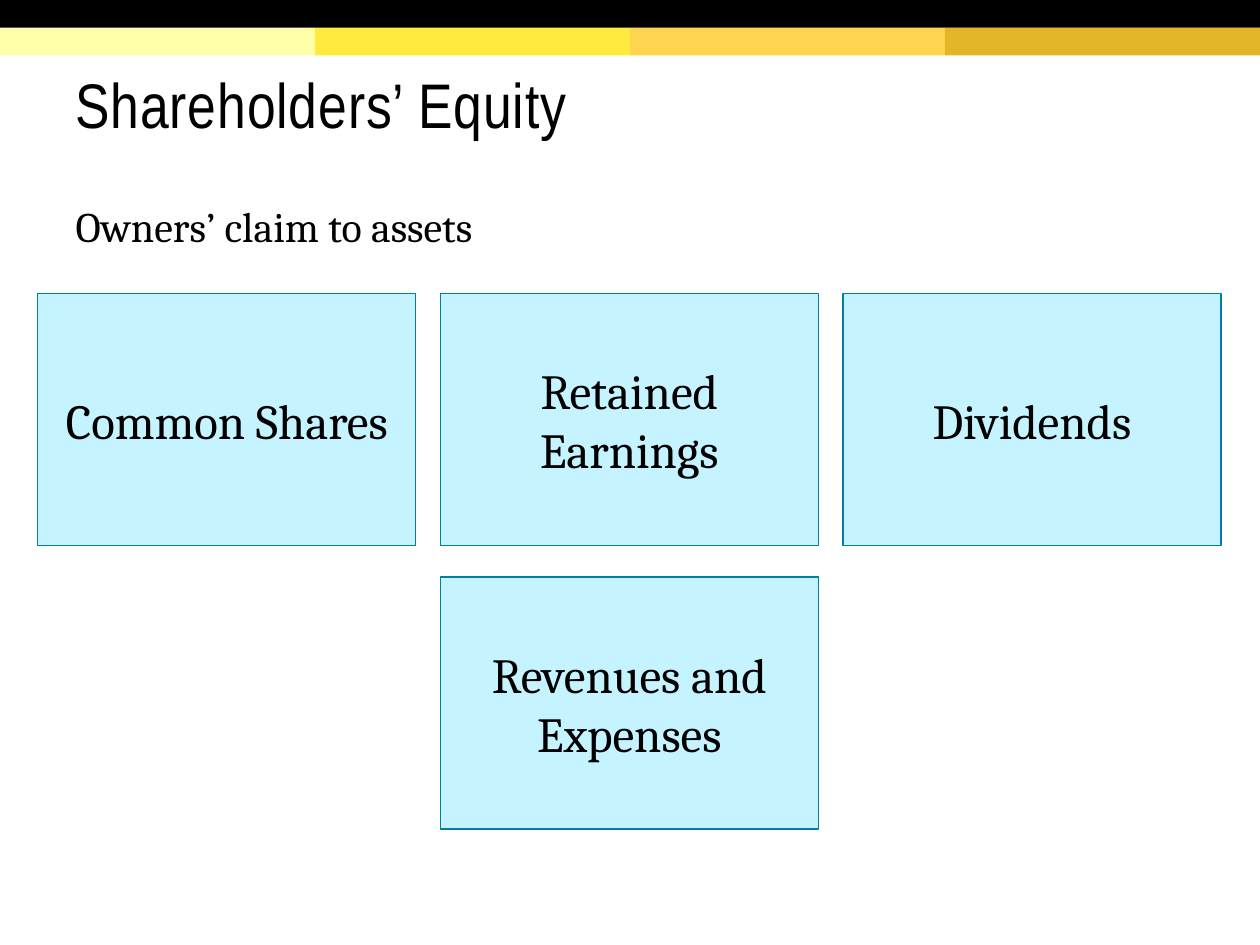
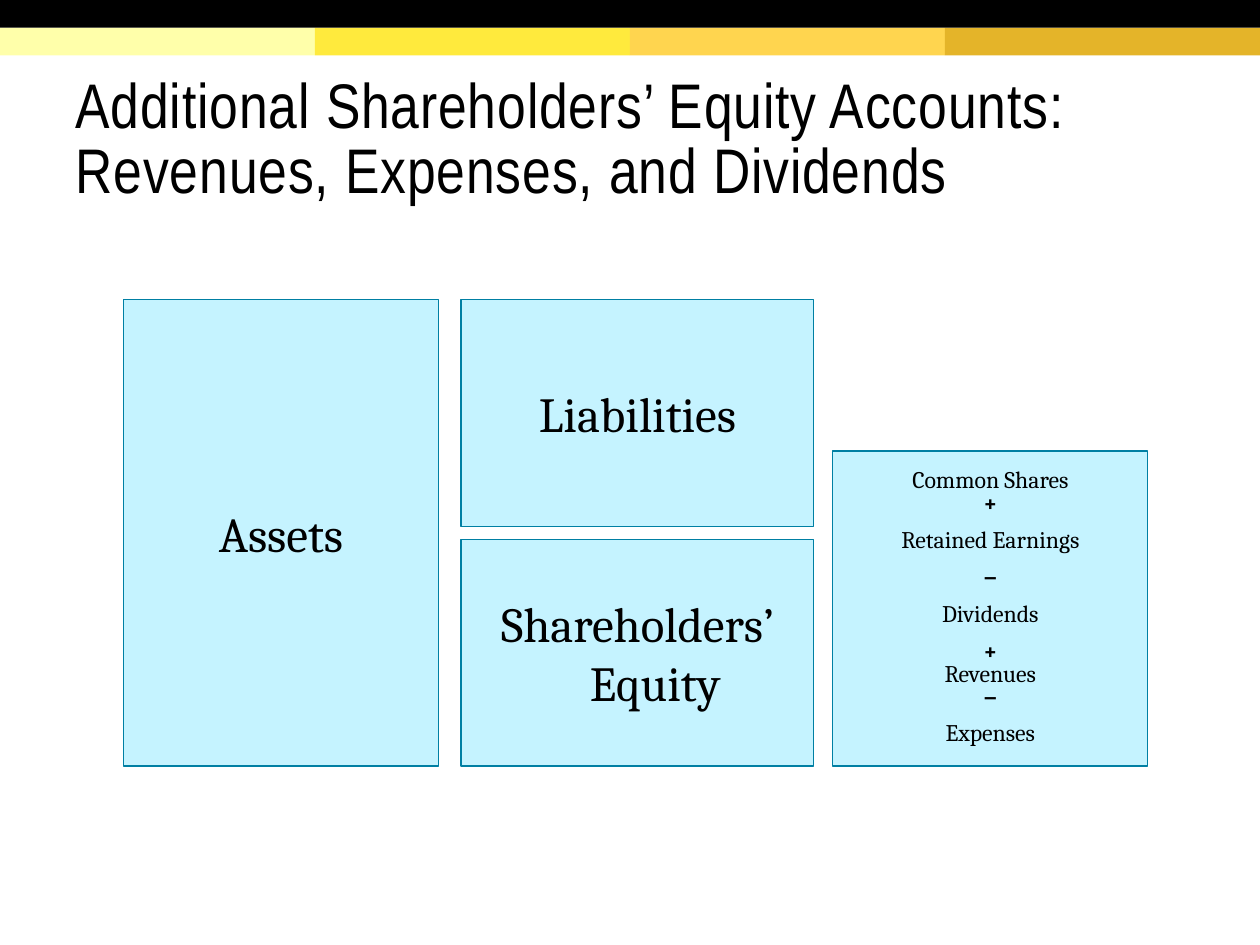
from collections import namedtuple

from lxml import etree
from pptx import Presentation
from pptx.dml.color import RGBColor
from pptx.enum.shapes import MSO_SHAPE
from pptx.enum.text import MSO_ANCHOR, MSO_AUTO_SIZE, PP_ALIGN
from pptx.oxml.ns import qn
from pptx.util import Inches, Pt

RECTANGLE = MSO_SHAPE.RECTANGLE
TOP, MIDDLE = MSO_ANCHOR.TOP, MSO_ANCHOR.MIDDLE
LEFT, CENTER = PP_ALIGN.LEFT, PP_ALIGN.CENTER
NO_AUTOFIT = MSO_AUTO_SIZE.NONE

BLACK = RGBColor(0x00, 0x00, 0x00)
PANEL_FILL = RGBColor(0xC5, 0xF3, 0xFF)
PANEL_LINE = RGBColor(0x00, 0x7F, 0xA3)
BAND_COLORS = (
    RGBColor(0xFF, 0xFF, 0xAA),
    RGBColor(0xFF, 0xEA, 0x3D),
    RGBColor(0xFF, 0xD5, 0x4F),
    RGBColor(0xE4, 0xB4, 0x29),
)
TITLE_FONT, BODY_FONT = "Arial Narrow", "Cambria"
TITLE_SIZE, LEAD_SIZE, PANEL_SIZE, ACCOUNT_SIZE = 36, 24, 28, 13.6
BAND_HEIGHT = 0.22
TITLE_ONLY, TITLE_AND_CONTENT = 5, 1

# All lengths are in inches.
Box = namedtuple("Box", "left top width height")
SLIDE = Box(0, 0, 10, 7.5)

# Each paragraph is a list of lines; signs are set in bold.
SIGNS = ("+", "−")
EQUITY_ACCOUNTS = (
    ("Common Shares", "+"),
    ("Retained Earnings",),
    ("−",),
    ("Dividends",),
    ("+", "Revenues", "−"),
    ("Expenses",),
)


def in_inches(box):
    return [Inches(length) for length in box]


def add_text(paragraph, text, size, font_name=BODY_FONT, bold=False):
    run = paragraph.add_run()
    run.text = text
    run.font.name = font_name
    run.font.size = Pt(size)
    run.font.bold = bold
    run.font.color.rgb = BLACK
    return run


def set_indent(paragraph, hanging):
    properties = paragraph._p.get_or_add_pPr()
    properties.set("marL", str(Inches(hanging)))
    properties.set("indent", str(-Inches(hanging)))
    return properties


def set_frame(shape, anchor, insets):
    """Insets are left, top, right and bottom."""
    frame = shape.text_frame
    frame.word_wrap = True
    frame.auto_size = NO_AUTOFIT
    frame.vertical_anchor = anchor
    (frame.margin_left, frame.margin_top,
     frame.margin_right, frame.margin_bottom) = in_inches(insets)
    return frame


def place(shape, box):
    shape.left, shape.top, shape.width, shape.height = in_inches(box)


def add_rectangle(slide, box, fill_color):
    shape = slide.shapes.add_shape(RECTANGLE, *in_inches(box))
    shape.shadow.inherit = False
    shape.fill.solid()
    shape.fill.fore_color.rgb = fill_color
    shape.line.fill.background()
    return shape


def add_bands(slide, box):
    """A black bar above a row of equal coloured bars."""
    row = box.height / 2
    column = box.width / len(BAND_COLORS)
    for index, color in enumerate(BAND_COLORS):
        left = box.left + index * column
        add_rectangle(slide, Box(left, box.top + row, column, row), color)
    add_rectangle(slide, box._replace(height=row), BLACK)


def fill_title(slide, text, box):
    title = slide.shapes.title
    place(title, box)
    paragraph = set_frame(title, MIDDLE, (0.1, 0.1, 0.1, 0.05)).paragraphs[0]
    paragraph.alignment = LEFT
    paragraph.line_spacing = 0.85
    run = add_text(paragraph, text, TITLE_SIZE, TITLE_FONT)
    run.font._element.set("spc", "50")


def fill_lead(slide, text, box):
    body = slide.placeholders[1]
    place(body, box)
    paragraph = set_frame(body, TOP, (0.1, 0.05, 0.1, 0.05)).paragraphs[0]
    etree.SubElement(set_indent(paragraph, 0), qn("a:buNone"))
    paragraph.line_spacing = 0.9
    paragraph.space_before = Pt(0)
    add_text(paragraph, text, LEAD_SIZE)


def add_panel(slide, box):
    """Returns the text frame of an empty light blue panel."""
    panel = add_rectangle(slide, box, PANEL_FILL)
    panel.line.color.rgb = PANEL_LINE
    panel.line.width = Pt(0.75)
    return set_frame(panel, MIDDLE, (0.1, 0.1, 0.1, 0.1))


def add_label_panel(slide, text, box, hanging=0):
    paragraph = add_panel(slide, box).paragraphs[0]
    paragraph.alignment = CENTER
    set_indent(paragraph, hanging)
    add_text(paragraph, text, PANEL_SIZE)


def add_break(paragraph, size):
    paragraph.add_line_break()
    etree.SubElement(paragraph._p[-1], qn("a:rPr"), sz=str(round(size * 100)))


def add_accounts_panel(slide, box):
    frame = add_panel(slide, box)
    for index, lines in enumerate(EQUITY_ACCOUNTS):
        paragraph = frame.add_paragraph() if index else frame.paragraphs[0]
        paragraph.alignment = CENTER
        paragraph.line_spacing = 0.8
        paragraph.space_after = Pt(8)
        for line_index, line in enumerate(lines):
            if line_index:
                add_break(paragraph, ACCOUNT_SIZE)
            add_text(paragraph, line, ACCOUNT_SIZE, bold=line in SIGNS)


def add_component_grid(slide, box):
    """Three columns and two rows; the lower row holds only its middle panel."""
    width, height = 3, 2
    column_step = (box.width - width) / 2
    row_step = box.height - height
    components = (
        ("Common Shares", 0, 0),
        ("Retained Earnings", 1, 0),
        ("Dividends", 2, 0),
        ("Revenues and Expenses", 1, 1),
    )
    for text, column, row in components:
        left = box.left + column * column_step
        top = box.top + row * row_step
        add_label_panel(slide, text, Box(left, top, width, height))


def add_accounting_equation(slide, box):
    """Assets, then liabilities over equity, then the equity accounts."""
    side_width, middle_width, row_height = 2.5, 2.8, 1.8
    middle_left = box.left + side_width + 0.18
    bottom = box.top + box.height
    add_label_panel(slide, "Assets", box._replace(width=side_width))
    add_label_panel(slide, "Liabilities",
                    Box(middle_left, box.top, middle_width, row_height), 0.32)
    add_label_panel(slide, "Shareholders’ Equity",
                    Box(middle_left, bottom - row_height, middle_width, row_height), 0.28)
    add_accounts_panel(slide, Box(box.left + box.width - side_width,
                                  bottom - side_width, side_width, side_width))


def add_slide(presentation, layout_index, title, title_box):
    slide = presentation.slides.add_slide(presentation.slide_layouts[layout_index])
    add_bands(slide, SLIDE._replace(height=2 * BAND_HEIGHT))
    fill_title(slide, title, title_box)
    return slide


def add_equity_slide(presentation):
    slide = add_slide(presentation, TITLE_AND_CONTENT, "Shareholders’ Equity",
                      Box(0.5, 0.24, 9, 1.2))
    fill_lead(slide, "Owners’ claim to assets", Box(0.5, 1.59, 9, 0.48))
    add_component_grid(slide, Box(0.3, 2.33, 9.39, 4.25))


def add_accounts_slide(presentation):
    title = ("Additional Shareholders’ Equity Accounts: "
             "Revenues, Expenses, and Dividends")
    slide = add_slide(presentation, TITLE_ONLY, title, Box(0.5, 0.25, 9, 1.7))
    add_accounting_equation(slide, Box(0.98, 2.38, 8.13, 3.7))


def main():
    presentation = Presentation()
    presentation.slide_width = Inches(SLIDE.width)
    presentation.slide_height = Inches(SLIDE.height)
    add_equity_slide(presentation)
    add_accounts_slide(presentation)
    presentation.save("out.pptx")


if __name__ == "__main__":
    main()
